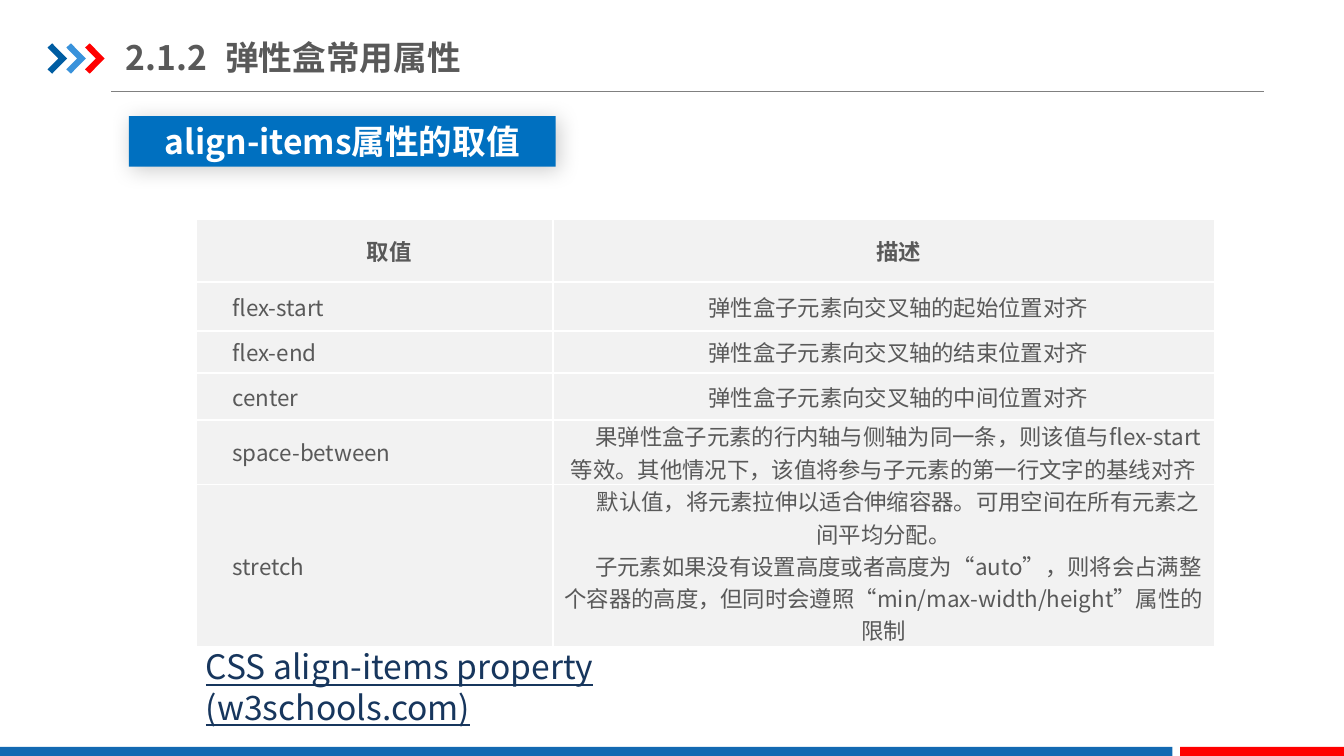
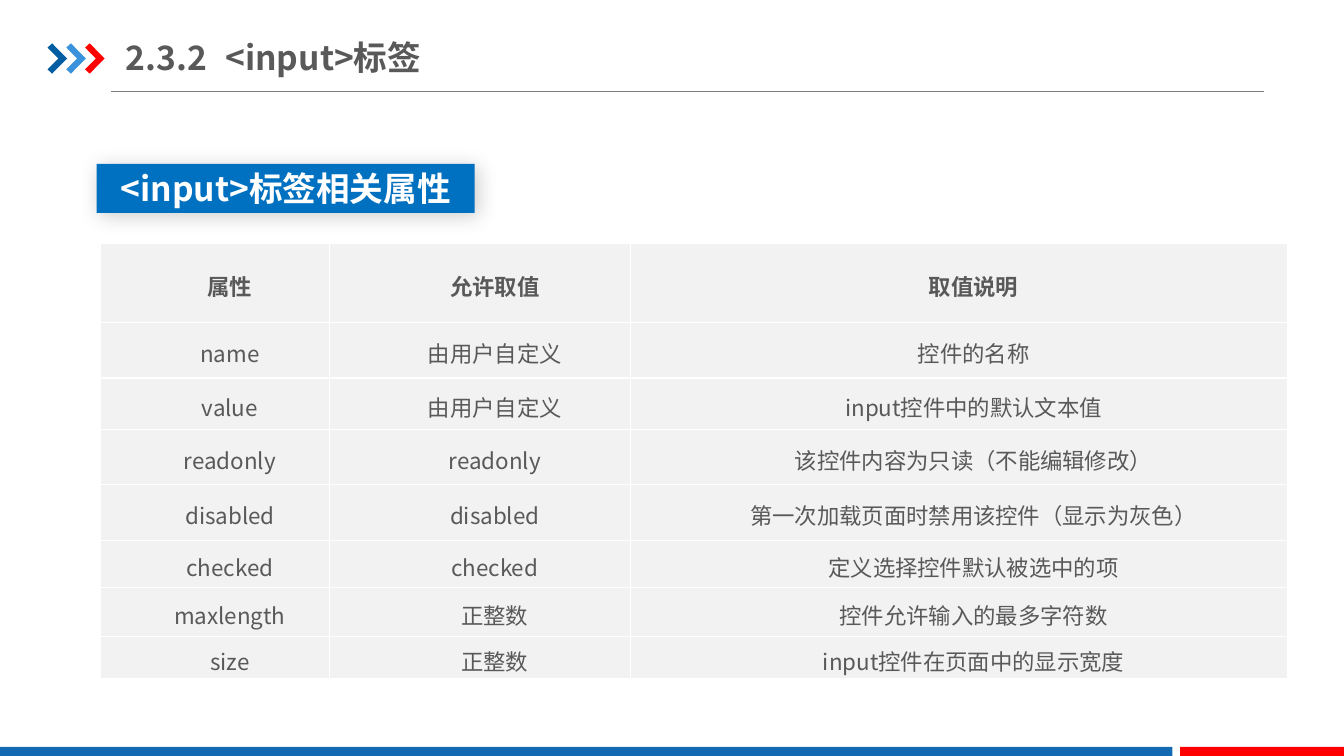
from lxml import etree
from pptx import Presentation
from pptx.dml.color import RGBColor
from pptx.enum import shapes, text
from pptx.oxml import ns
from pptx.util import Pt

FONT = "Noto Sans CJK SC"
GRAY, CELL, WHITE = "595959", "F2F2F2", "FFFFFF"
TAG_BLUE, BAND_BLUE, RED, LINK = "0070C0", "1369B2", "FF0000", "17365D"
RULE = "808080"
CHEVRON_COLORS = ["005DA2", "3992DB", RED]
CHEVRON = [(0, 3), (3.3, 0), (14, 10.8), (3.3, 21.6), (0, 18.6), (7.7, 10.8)]
CENTER, LEFT = text.PP_ALIGN.CENTER, text.PP_ALIGN.LEFT


def rgb(value):
    return RGBColor.from_string(value)


def sub(parent, tag, **attrs):
    return etree.SubElement(parent, ns.qn(tag), {k: str(v) for k, v in attrs.items()})


def paint(sp, color):
    sp.shadow.inherit = False
    sp.fill.solid()
    sp.fill.fore_color.rgb = rgb(color)
    sp.line.fill.background()


def style(p, size, color, bold=False, align=LEFT, underline=None):
    p.alignment = align
    for r in p.runs:
        f = r.font
        f.name, f.size, f.bold, f.underline = FONT, Pt(size), bold, underline
        f.color.rgb = rgb(color)
        sub(r._r.get_or_add_rPr(), "a:ea", typeface=FONT)


def set_margins(tf, x, y):
    tf.margin_left = tf.margin_right = Pt(x)
    tf.margin_top = tf.margin_bottom = Pt(y)


def add_rect(s, box, color):
    sp = s.shapes.add_shape(shapes.MSO_SHAPE.RECTANGLE, *map(Pt, box))
    paint(sp, color)
    return sp


def add_chevron(s, x, y, color):
    points = [(Pt(x + dx), Pt(y + dy)) for dx, dy in CHEVRON]
    builder = s.shapes.build_freeform(*points[0])
    builder.add_line_segments(points[1:], close=True)
    sp = builder.convert_to_shape()
    paint(sp, color)
    return sp


def move_frame_to_layout(s, layout):
    """Draw the shared rule, chevrons and bottom bands, and keep them in the layout."""
    for ph in list(layout.placeholders):
        if ph.placeholder_format.type != shapes.PP_PLACEHOLDER.TITLE:
            layout.shapes.element.remove(ph.element)
    rule = s.shapes.add_connector(shapes.MSO_CONNECTOR.STRAIGHT,
                                  Pt(79.5), Pt(65.5), Pt(903), Pt(65.5))
    rule.line.color.rgb = rgb(RULE)
    rule.line.width = Pt(0.75)
    sub(rule.element.spPr, "a:effectLst")
    parts = [rule]
    parts += [add_chevron(s, 34 + 13.4 * i, 31, c) for i, c in enumerate(CHEVRON_COLORS)]
    parts += [add_rect(s, (0, 533.5, 837.5, 6.5), BAND_BLUE),
              add_rect(s, (843, 533.5, 117, 6.5), RED)]
    for part in parts:
        layout.shapes.element.append(part.element)


def set_title(s, number, title):
    sp = s.shapes.title
    sp.left, sp.top, sp.width, sp.height = map(Pt, (90, 21, 307, 39.5))
    tf = sp.text_frame
    tf.text = f"{number}\t{title}"
    tf.word_wrap, tf.auto_size = True, text.MSO_AUTO_SIZE.NONE
    tf.vertical_anchor = text.MSO_ANCHOR.MIDDLE
    set_margins(tf, 0, 5)
    p = tf.paragraphs[0]
    tabs = sub(p._p.get_or_add_pPr(), "a:tabLst")
    sub(tabs, "a:tab", pos=Pt(71), algn="l")
    style(p, 24, GRAY, bold=True)


def add_tag(s, box, label):
    """Blue heading label with a soft shadow."""
    sp = add_rect(s, box, TAG_BLUE)
    effects = sp.element.spPr.find(ns.qn("a:effectLst"))
    shadow = sub(effects, "a:outerShdw", blurRad=Pt(15), dist=Pt(3),
                 dir=45 * 60000, algn="tl", rotWithShape=0)
    sub(sub(shadow, "a:srgbClr", val="000000"), "a:alpha", val=20000)
    tf = sp.text_frame
    tf.text = label
    tf.word_wrap = True
    tf.vertical_anchor = text.MSO_ANCHOR.MIDDLE
    set_margins(tf, 6, 3)
    style(tf.paragraphs[0], 24, WHITE, bold=True, align=CENTER)


def fill_cell(cell, content, bold, align, margin, spacing):
    cell.text = content
    cell.vertical_anchor = text.MSO_ANCHOR.MIDDLE
    set_margins(cell, margin, 0)
    for p in cell.text_frame.paragraphs:
        p._p.get_or_add_pPr().set("indent", str(Pt(21)))
        p.line_spacing = spacing
        style(p, 16, GRAY, bold, align)
    tcPr = cell._tc.get_or_add_tcPr()
    for side in "LRTB":
        border = sub(tcPr, f"a:ln{side}", w=Pt(1))
        sub(sub(border, "a:solidFill"), "a:srgbClr", val=WHITE)
    cell.fill.solid()
    cell.fill.fore_color.rgb = rgb(CELL)


def add_grid(s, left, top, widths, heights, rows, aligns, margin, spacing=None):
    """Table whose first row is a bold, centred header."""
    tb = s.shapes.add_table(len(rows), len(widths), Pt(left), Pt(top),
                            Pt(sum(widths)), Pt(sum(heights))).table
    tb.first_row = tb.horz_banding = False
    for col, width in zip(tb.columns, widths):
        col.width = Pt(width)
    for i, (row, height, values) in enumerate(zip(tb.rows, heights, rows)):
        row.height = Pt(height)
        for cell, value, align in zip(row.cells, values, aligns):
            fill_cell(cell, value, i == 0, align if i else CENTER, margin, spacing)


def add_reference(s, box, label):
    tf = s.shapes.add_textbox(*map(Pt, box)).text_frame
    tf.text = label
    tf.word_wrap = True
    style(tf.paragraphs[0], 24, LINK, underline=True)


ALIGN_ROWS = [
    ("取值", "描述"),
    ("flex-start", "弹性盒子元素向交叉轴的起始位置对齐"),
    ("flex-end", "弹性盒子元素向交叉轴的结束位置对齐"),
    ("center", "弹性盒子元素向交叉轴的中间位置对齐"),
    ("space-between", "果弹性盒子元素的行内轴与侧轴为同一条，则该值与flex-start等效。"
                      "其他情况下，该值将参与子元素的第一行文字的基线对齐"),
    ("stretch", "默认值，将元素拉伸以适合伸缩容器。可用空间在所有元素之间平均分配。\n"
                "子元素如果没有设置高度或者高度为“auto”，则将会占满整个容器的高度，"
                "但同时会遵照“min/max-width/height”属性的限制"),
]
INPUT_ROWS = [
    ("属性", "允许取值", "取值说明"),
    ("name", "由用户自定义", "控件的名称"),
    ("value", "由用户自定义", "input控件中的默认文本值"),
    ("readonly", "readonly", "该控件内容为只读（不能编辑修改）"),
    ("disabled", "disabled", "第一次加载页面时禁用该控件（显示为灰色）"),
    ("checked", "checked", "定义选择控件默认被选中的项"),
    ("maxlength", "正整数", "控件允许输入的最多字符数"),
    ("size", "正整数", "input控件在页面中的显示宽度"),
]


def main():
    prs = Presentation()
    prs.slide_width, prs.slide_height = Pt(960), Pt(540)
    layout = prs.slide_layouts[5]

    # Values of align-items
    s = prs.slides.add_slide(layout)
    move_frame_to_layout(s, layout)
    set_title(s, "2.1.2", "弹性盒常用属性")
    add_grid(s, 140, 157, [255, 472.5], [44.5, 35, 30, 33.5, 46, 116],
             ALIGN_ROWS, [LEFT, CENTER], margin=5)
    add_tag(s, (92, 83, 305, 36), "align-items属性的取值")
    add_reference(s, (140, 458, 480, 36), "CSS align-items property (w3schools.com)")

    # Attributes of the input tag
    s = prs.slides.add_slide(layout)
    set_title(s, "2.3.2", "<input>标签")
    add_tag(s, (69, 117, 270, 35), "<input>标签相关属性")
    add_grid(s, 72, 174, [163.5, 215, 469], [56.5, 39.5, 37, 39, 40, 34, 35, 30],
             INPUT_ROWS, [CENTER] * 3, margin=6.5, spacing=1.15)

    prs.save("out.pptx")


if __name__ == "__main__":
    main()
